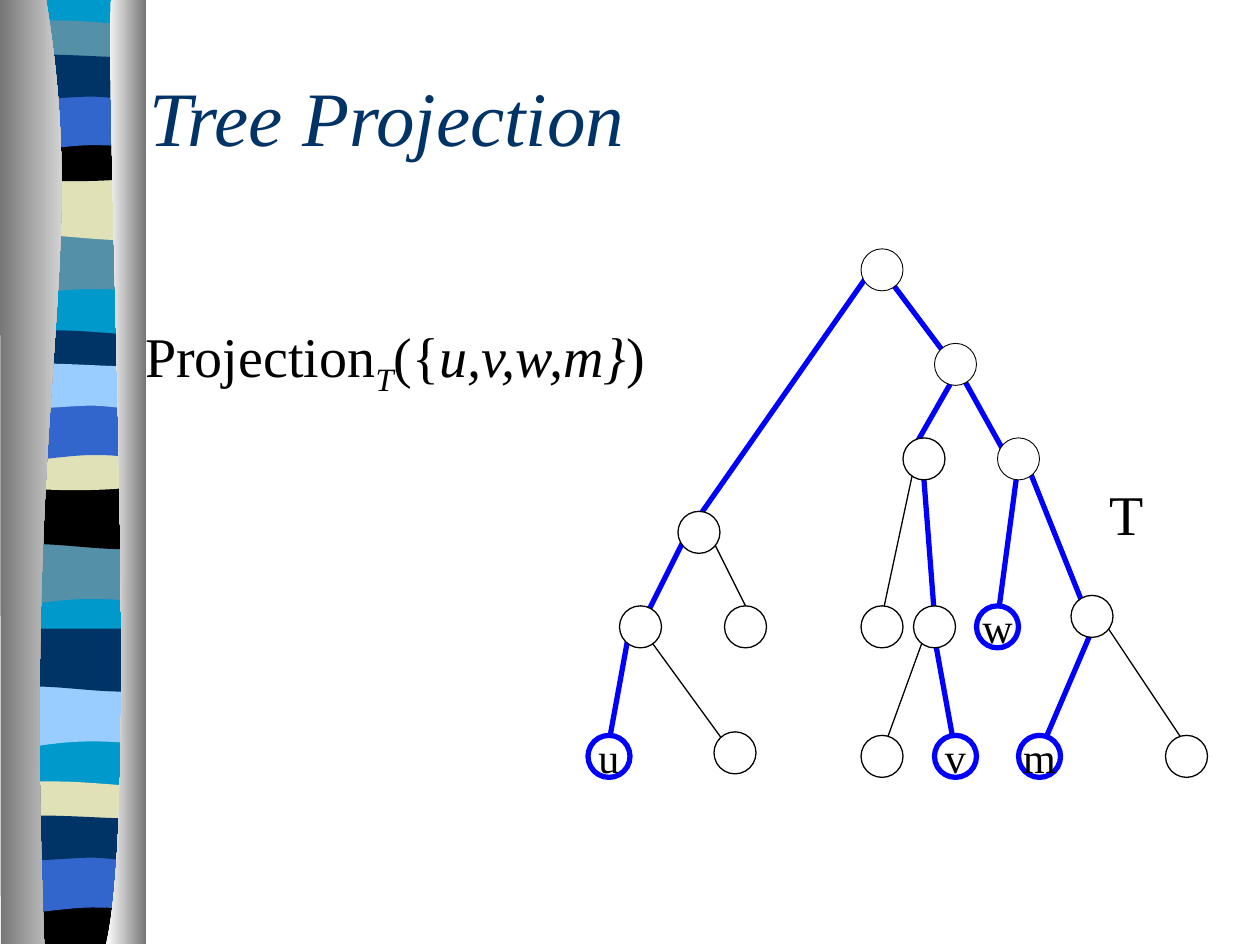
from pptx import Presentation
from pptx.dml.color import RGBColor
from pptx.enum.shapes import MSO_CONNECTOR, MSO_SHAPE
from pptx.enum.text import MSO_ANCHOR, MSO_AUTO_SIZE, PP_ALIGN
from pptx.oxml.ns import qn
from pptx.util import Pt
from lxml.etree import SubElement

FONT = "Times New Roman"
WHITE = RGBColor(0xFF, 0xFF, 0xFF)
BLACK = RGBColor(0x00, 0x00, 0x00)
GRAY = RGBColor(0x76, 0x76, 0x76)
BLUE = RGBColor(0x00, 0x00, 0xFF)
NAVY = RGBColor(0x00, 0x33, 0x66)
ROYAL = RGBColor(0x33, 0x66, 0xCC)
CYAN = RGBColor(0x00, 0x99, 0xCC)
STEEL = RGBColor(0x54, 0x90, 0xA8)
SAND = RGBColor(0xE1, 0xE1, 0xB7)
SKY = RGBColor(0x99, 0xCC, 0xFF)

SWELL = [(78, 0), (78, 0, 78, 34, 78, 34), (24, 28, 13, 40, 0, 34), (0, 0), (78, 0)]
DIP = [(78, 0), (78, 34), (65, 40, 24, 30, 0, 34), (0, 0), (78, 0)]
THIN = [(78, 3.5), (78, 21), (65, 24, 13, 24, 0, 21), (0, 3.5),
        (4, 0, 17, 0.5, 30, 0.5), (43, 0.5, 68, 3, 78, 3.5)]
BOWL = [(78, 0), (78, 23), (65, 27, 13, 27, 0, 23), (0, 0), (48, 3.5, 61, 0, 78, 0)]
ARCH = [(78, 0), (78, 0, 78, 34, 78, 34), (66, 30, 60, 30, 48, 30),
        (35, 30, 12, 34, 0, 34), (0, 0), (78, 0)]
RIPPLE = [(78, 3.5), (78, 26), (73, 29.5, 60, 26, 48, 26), (35, 26, 8, 29.5, 0, 26),
          (0, 3.5), (11, 0, 53, 3.5, 66, 3.5), (79, 3.5, 75, 3.5, 78, 3.5)]
BASE = [(78, 0), (78, 27), (0, 27), (0, 0), (48, 3.5, 61, 0, 78, 0)]
BACKING = [(78, 0), (78, 539), (0, 539), (0, 0), (78, 0)]
LEFT_RIBBON = [(26.3, 0), (52, 156, 12.5, 213, 25.3, 540), (0.5, 540), (0, 0), (26.3, 0)]
RIGHT_RIBBON = [(63.5, 0), (60.5, 90, 80, 465, 60.5, 540), (83.5, 540), (83.5, 0), (63.5, 0)]

BANDS = [
    (11.5, [(SWELL, 121.7, STEEL), (DIP, 90, SAND), (THIN, 0, STEEL),
            (BOWL, 66.3, BLACK), (ARCH, 41.8, ROYAL), (RIPPLE, 18, NAVY)]),
    (188.6, [(SWELL, 121.7, STEEL), (DIP, 89.5, BLACK), (THIN, 0, NAVY),
             (BOWL, 65.8, SAND), (ARCH, 41.8, ROYAL), (RIPPLE, 17.5, SKY)]),
    (270, [(SWELL, 121.7, SKY), (DIP, 89.5, NAVY)]),
    (446.4, [(THIN, 0, SAND), (BASE, 66.3, BLACK), (ARCH, 42.5, ROYAL),
             (RIPPLE, 18, NAVY)]),
]

PROJECTED_EDGES = [
    (168, 12, 210, 68), (162, 12, 62, 155), (210, 66, 240, 120), (210, 72, 186, 114),
    (54, 168, 30, 216), (24, 216, 12, 282), (192, 132, 198, 210), (246, 122, 234, 212),
    (252, 126, 288, 216), (288, 218, 258, 288), (198, 222, 210, 288),
]
OTHER_EDGES = [
    (294, 212, 342, 284), (72, 168, 96, 216), (30, 216, 78, 282),
    (186, 126, 168, 210), (192, 222, 168, 288),
]
UPPER_NODES = [(156, 0), (198, 54), (234, 108)]
LOWER_NODES = [(180, 108), (330, 278), (276, 198), (186, 204), (156, 204),
               (156, 278), (78, 204), (51.4, 150), (18, 204), (72, 276)]
LEAVES = [("w", 222, 204), ("v", 198, 278), ("m", 246, 278), ("u", 0, 278)]


def bend_segments(sp, steps):
    """Turn each run of three segments that stands for a Bezier step into a curve."""
    segments = iter(list(sp._element.spPr.iter(qn("a:lnTo"))))
    for step in steps[1:]:
        first = next(segments)
        if len(step) == 2:
            continue
        first.tag = qn("a:cubicBezTo")
        for _ in range(2):
            extra = next(segments)
            first.append(extra[0])
            extra.getparent().remove(extra)


def add_outline(slide, left, top, steps, *colors):
    """Draw points and Bezier steps with a solid fill or a left-to-right gradient."""
    points = [(Pt(left + x), Pt(top + y))
              for step in steps for x, y in zip(step[::2], step[1::2])]
    builder = slide.shapes.build_freeform(*points[0])
    builder.add_line_segments(points[1:])
    sp = builder.convert_to_shape()
    bend_segments(sp, steps)
    sp.shadow.inherit = False
    sp.line.fill.background()
    if len(colors) == 1:
        sp.fill.solid()
        sp.fill.fore_color.rgb = colors[0]
        return
    sp.fill.gradient()
    sp.fill.gradient_angle = 0
    for stop, color in zip(sp.fill.gradient_stops, colors):
        stop.color.rgb = color


def add_sidebar(slide, left, top):
    """Draw the striped band between its two metallic ribbons."""
    add_outline(slide, left + 4, top, BACKING, CYAN)
    for band_top, stripes in BANDS:
        for steps, offset, color in stripes:
            add_outline(slide, left + 4, top + band_top + offset, steps, color)
    add_outline(slide, left, top, LEFT_RIBBON, GRAY, WHITE)
    add_outline(slide, left, top, RIGHT_RIBBON, WHITE, GRAY)


def set_title(slide, left, top, width, height):
    """Place and format the title."""
    sp = slide.shapes.title
    sp.left, sp.top, sp.width, sp.height = Pt(left), Pt(top), Pt(width), Pt(height)
    tf = sp.text_frame
    tf.text = "Tree Projection"
    tf.auto_size = MSO_AUTO_SIZE.NONE
    tf.vertical_anchor = MSO_ANCHOR.MIDDLE
    p = tf.paragraphs[0]
    p.alignment = PP_ALIGN.LEFT
    p.font.name, p.font.size, p.font.italic = FONT, Pt(44), True
    p.font.color.rgb = NAVY


def format_label(tf, size):
    """Centre a one-line label and return its paragraph."""
    tf.word_wrap = False
    tf.vertical_anchor = MSO_ANCHOR.MIDDLE
    p = tf.paragraphs[0]
    p.alignment = PP_ALIGN.CENTER
    p.font.name, p.font.size = FONT, Pt(size)
    p.font.color.rgb = BLACK
    return p


def add_label(slide, left, top, width, height, *runs):
    """Add a text box from runs of (text, italic, baseline)."""
    box = slide.shapes.add_textbox(Pt(left), Pt(top), Pt(width), Pt(height))
    p = format_label(box.text_frame, 32)
    for text, italic, baseline in runs:
        r = p.add_run()
        r.text = text
        r.font.italic = italic
        if baseline:
            r._r.get_or_add_rPr().set("baseline", str(baseline * 1000))


def add_edge(slide, left, top, ends, color, width):
    """Draw one tree edge."""
    x1, y1, x2, y2 = ends
    line = slide.shapes.add_connector(MSO_CONNECTOR.STRAIGHT, Pt(left + x1), Pt(top + y1),
                                      Pt(left + x2), Pt(top + y2))
    line.line.color.rgb = color
    line.line.width = Pt(width)
    SubElement(line._element.spPr, qn("a:effectLst"))


def add_node(slide, left, top, color, width, text=""):
    """Draw one tree node, with its letter if it has one."""
    sp = slide.shapes.add_shape(MSO_SHAPE.OVAL, Pt(left), Pt(top), Pt(24), Pt(24))
    sp.shadow.inherit = False
    sp.fill.solid()
    sp.fill.fore_color.rgb = WHITE
    sp.line.color.rgb = color
    sp.line.width = Pt(width)
    if text:
        sp.text_frame.text = text
        format_label(sp.text_frame, 24)


def add_tree(slide, left, top):
    """Draw the tree T with its projection in blue."""
    for ends in PROJECTED_EDGES:
        add_edge(slide, left, top, ends, BLUE, 3)
    for ends in OTHER_EDGES:
        add_edge(slide, left, top, ends, BLACK, 0.75)
    for nodes, width in ((UPPER_NODES, 0.5), (LOWER_NODES, 0.75)):
        for x, y in nodes:
            add_node(slide, left + x, top + y, BLACK, width)
    for letter, x, y in LEAVES:
        add_node(slide, left + x, top + y, BLUE, 3, letter)
    add_label(slide, left + 290.5, top + 127.8, 34, 46, ("T", False, 0))


def main():
    """Build the slide and save it."""
    prs = Presentation()
    prs.slide_width, prs.slide_height = Pt(720), Pt(540)
    slide = prs.slides.add_slide(prs.slide_layouts[5])
    add_sidebar(slide, 0, -0.3)
    set_title(slide, 78, 42, 624, 48)
    add_label(slide, 73.5, 180, 304.5, 51, ("Projection", False, 0), ("T", True, -25),
              ("({", False, 0), ("u,v,w,m}", True, 0), (")", False, 0))
    add_tree(slide, 336, 142.2)
    prs.save("out.pptx")


if __name__ == "__main__":
    main()
